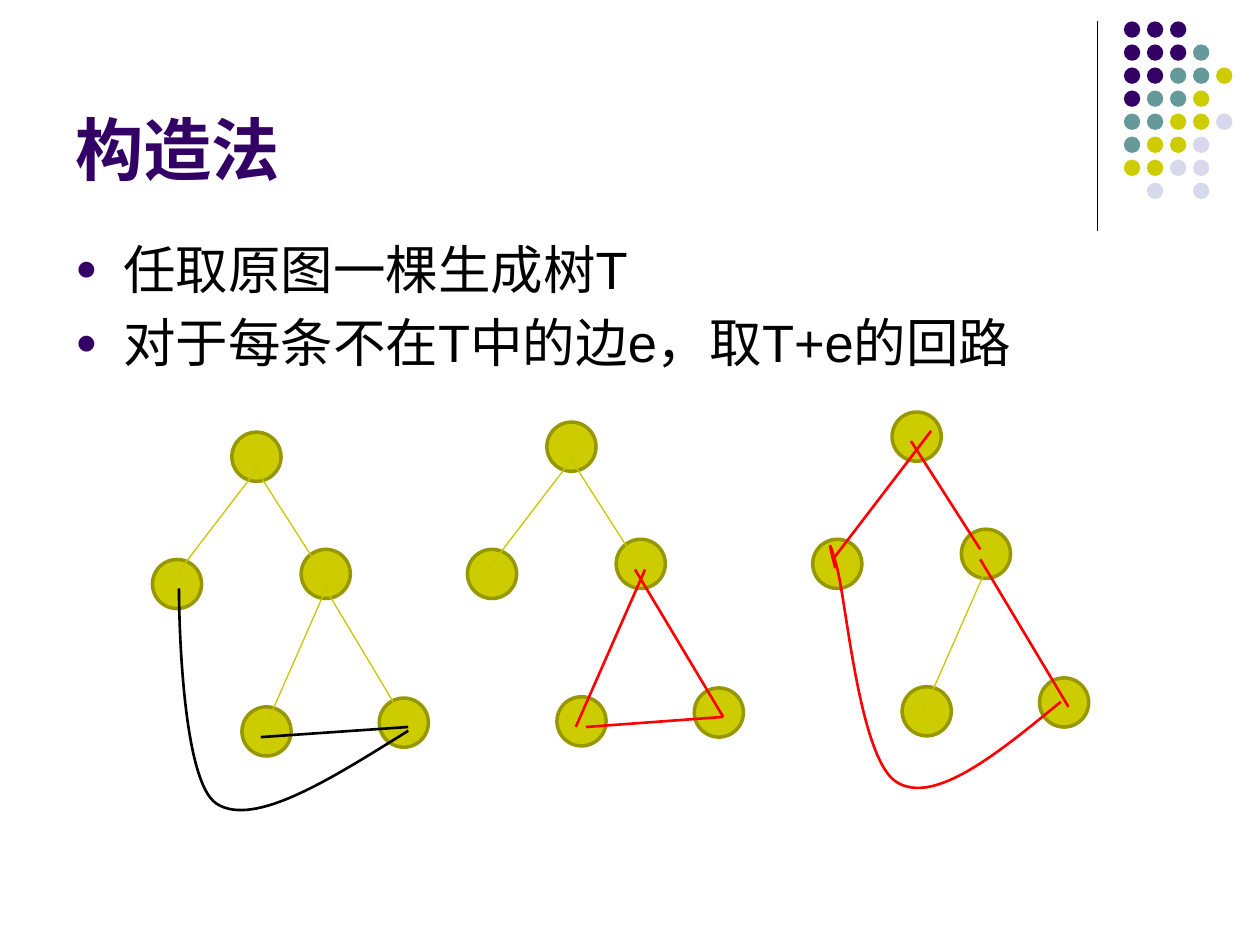
from lxml import etree
from pptx import Presentation
from pptx.dml.color import RGBColor
from pptx.enum.shapes import MSO_CONNECTOR, MSO_SHAPE
from pptx.enum.text import MSO_ANCHOR
from pptx.oxml.ns import qn
from pptx.util import Inches, Pt

STRAIGHT, OVAL = MSO_CONNECTOR.STRAIGHT, MSO_SHAPE.OVAL
TOP, BOTTOM = MSO_ANCHOR.TOP, MSO_ANCHOR.BOTTOM

# Content
TITLE = "构造法"
BULLETS = ["任取原图一棵生成树T", "对于每条不在T中的边e，取T+e的回路"]

PURPLE, BLACK, RED, OLIVE = "330066", "000000", "FF0000", "C8C800"
NODE_FILL, NODE_LINE = "CCCC00", "979700"

# Corner ornament: one letter per dot
DOT_COLORS = {"P": PURPLE, "T": "669999", "Y": "CCCC00", "L": "D8D8EC"}
DOT_ROWS = ["PPP", "PPPT", "PPTTY", "PTTY", "TTYYL", "TYYL", "YYLL", " L L"]
DOT_LEFT, DOT_TOP, DOT_SIZE = 8.92, 0.17, 0.13
DOT_STEP = 1.28 / 7

# Tree geometry, relative to each tree's origin
NODE_SIZE = 0.39
NODES = [(0.63, 0), (1.18, 0.93), (0.71, 2.18), (1.8, 2.11), (0, 1.01)]
EDGES = {
    "root-left": ((0.16, 1.17), (0.94, 0.15)),
    "root-right": ((0.78, 0.23), (1.33, 1.09)),
    "right-leaf1": ((0.86, 2.42), (1.41, 1.17)),
    "right-leaf2": ((2.03, 2.34), (1.33, 1.17)),
}
# Origin, tree edges on the red circuit
TREES = [
    ((1.21, 3.43), ()),
    ((3.71, 3.35), ("right-leaf1", "right-leaf2")),
    ((6.45, 3.27), ("root-left", "root-right", "right-leaf2")),
]
# Edges outside the spanning tree
EXTRA_EDGES = [
    ((2.07, 5.85), (3.24, 5.77), BLACK),
    ((4.65, 5.77), (5.74, 5.69), RED),
]
# Start point followed by three points per Bézier segment
CURVES = [
    ([(8.42, 5.57), (7.92, 5.98), (7.42, 6.39), (7.12, 6.21), (6.82, 6.03),
      (6.72, 4.78), (6.64, 4.49), (6.56, 4.21), (6.59, 4.36), (6.63, 4.51)], RED),
    ([(3.24, 5.8), (2.63, 6.18), (2.02, 6.57), (1.72, 6.38), (1.42, 6.19),
      (1.42, 4.67), (1.42, 4.67)], BLACK),
]


def rgb(color):
    return RGBColor.from_string(color)


def add_line(start, end, color, width):
    line = slide.shapes.add_connector(STRAIGHT, *(Inches(v) for v in (*start, *end)))
    line.line.color.rgb = rgb(color)
    line.line.width = Pt(width)
    etree.SubElement(line._element.spPr, qn("a:effectLst"))


def add_circle(left, top, size, fill, outline=None):
    shape = slide.shapes.add_shape(OVAL, *(Inches(v) for v in (left, top, size, size)))
    shape.shadow.inherit = False
    shape.fill.solid()
    shape.fill.fore_color.rgb = rgb(fill)
    if outline:
        shape.line.color.rgb = rgb(outline)
        shape.line.width = Pt(2)
    else:
        shape.line.fill.background()


def add_curve(points, color):
    start, *others = [(Inches(x), Inches(y)) for x, y in points]
    builder = slide.shapes.build_freeform(*start)
    builder.add_line_segments(others, close=False)
    shape = builder.convert_to_shape()
    shape.shadow.inherit = False
    shape.fill.background()
    shape.line.color.rgb = rgb(color)
    shape.line.width = Pt(1.5)
    # Merge every three straight segments into one cubic segment
    segments = list(shape._element.iter(qn("a:lnTo")))
    for first in range(0, len(segments), 3):
        cubic = etree.Element(qn("a:cubicBezTo"))
        segments[first].addprevious(cubic)
        for segment in segments[first:first + 3]:
            cubic.append(segment[0])
            segment.getparent().remove(segment)


def add_bullet(paragraph):
    properties = paragraph._p.get_or_add_pPr()
    properties.set("marL", str(Inches(0.38)))
    properties.set("indent", str(-Inches(0.38)))
    color = etree.SubElement(properties, qn("a:buClr"))
    etree.SubElement(color, qn("a:srgbClr"), val=PURPLE)
    etree.SubElement(properties, qn("a:buSzPct"), val="70000")
    etree.SubElement(properties, qn("a:buFont"), typeface="Arial")
    etree.SubElement(properties, qn("a:buChar"), char="●")


def add_text(lines, box, size, color, bold=False, anchor=TOP, bullets=False):
    frame = slide.shapes.add_textbox(*(Inches(v) for v in box)).text_frame
    frame.word_wrap = True
    frame.vertical_anchor = anchor
    for index, text in enumerate(lines):
        paragraph = frame.add_paragraph() if index else frame.paragraphs[0]
        run = paragraph.add_run()
        run.text = text
        run.font.name = "Arial"
        run.font.size = Pt(size)
        run.font.bold = bold
        run.font.color.rgb = rgb(color)
        if bullets:
            paragraph.space_before = Pt(size * 0.2)
            add_bullet(paragraph)


presentation = Presentation()
presentation.slide_width, presentation.slide_height = Inches(10), Inches(7.5)
slide = presentation.slides.add_slide(presentation.slide_layouts[6])

# Corner ornament
add_line((8.71, 0.17), (8.71, 1.83), BLACK, 0.75)
for row, letters in enumerate(DOT_ROWS):
    for column, letter in enumerate(letters):
        if letter in DOT_COLORS:
            add_circle(DOT_LEFT + column * DOT_STEP, DOT_TOP + row * DOT_STEP,
                       DOT_SIZE, DOT_COLORS[letter])

# Title and bullets
add_text([TITLE], (0.5, 0.13, 8.25, 1.42), 39, PURPLE, bold=True, anchor=BOTTOM)
add_text(BULLETS, (0.5, 1.83, 9, 4.95), 30, BLACK, bullets=True)

# Trees
for (left, top), circuit in TREES:
    for x, y in NODES:
        add_circle(left + x, top + y, NODE_SIZE, NODE_FILL, NODE_LINE)
    for name, ends in EDGES.items():
        start, end = ((left + x, top + y) for x, y in ends)
        style = (RED, 1.5) if name in circuit else (OLIVE, 0.75)
        add_line(start, end, *style)

# Edges outside the tree
for start, end, color in EXTRA_EDGES:
    add_line(start, end, color, 1.5)
for points, color in CURVES:
    add_curve(points, color)

presentation.save("out.pptx")
